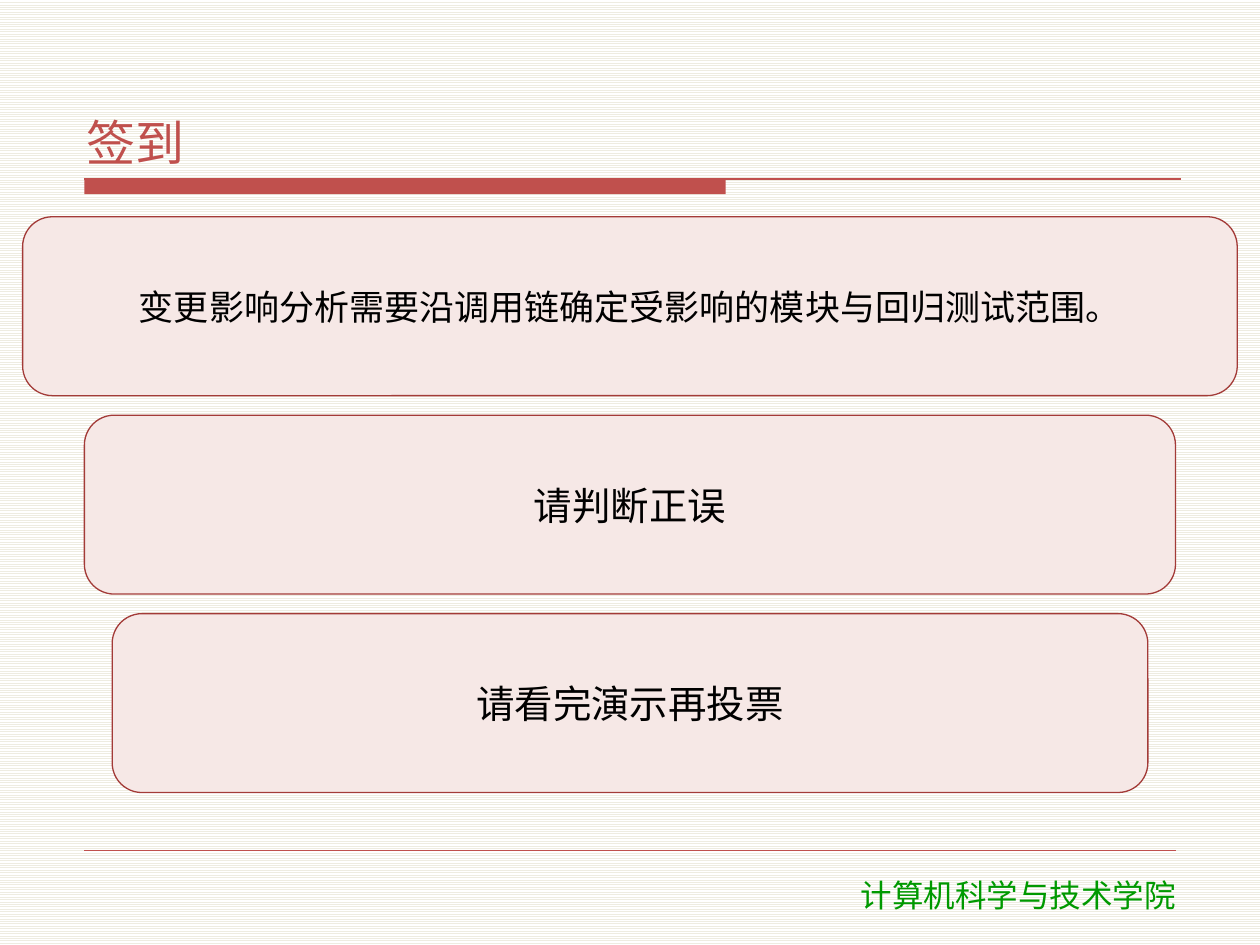
import pptx
import pptx.util
import pptx.dml.color
import pptx.enum.dml
import pptx.enum.shapes
import pptx.enum.text
import pptx.oxml.ns
from lxml import etree

Inches, Pt = pptx.util.Inches, pptx.util.Pt
RGB = pptx.dml.color.RGBColor.from_string
Align = pptx.enum.text.PP_ALIGN
Anchor = pptx.enum.text.MSO_ANCHOR
qn = pptx.oxml.ns.qn

COLORS = {
    "red": "C0504D", "edge": "A33B38", "card": "F6E8E6",
    "ink": "000000", "green": "009900", "stripe": "EEECE1", "paper": "FFFFFF",
}
CJK = "Noto Sans CJK SC"


def write(shape, text, size, color, align, anchor, pad, font=CJK, after=2):
    frame = shape.text_frame
    frame.word_wrap = True
    frame.vertical_anchor = anchor
    frame.margin_left = frame.margin_right = Inches(pad[0])
    frame.margin_top = frame.margin_bottom = Inches(pad[1])
    para = frame.paragraphs[0]
    para.text = text
    para.alignment = align
    para.space_after = Pt(after)
    para.font.size = Pt(size)
    para.font.name = font
    para.font.color.rgb = RGB(COLORS[color])
    # East Asian typeface
    props = para._p.pPr.find(qn("a:defRPr"))
    etree.SubElement(props, qn("a:ea")).set("typeface", font)


def rule(slide, left, top, width, weight):
    line = slide.shapes.add_connector(
        pptx.enum.shapes.MSO_CONNECTOR.STRAIGHT,
        Inches(left), Inches(top), Inches(left + width), Inches(top))
    line.line.color.rgb = RGB(COLORS["red"])
    line.line.width = Pt(weight)
    etree.SubElement(line._element.spPr, qn("a:effectLst"))


def block(slide, kind, left, top, width, height, fill):
    shape = slide.shapes.add_shape(
        kind, Inches(left), Inches(top), Inches(width), Inches(height))
    shape.shadow.inherit = False
    shape.fill.solid()
    shape.fill.fore_color.rgb = RGB(COLORS[fill])
    return shape


def label(slide, left, top, width, height):
    return slide.shapes.add_textbox(
        Inches(left), Inches(top), Inches(width), Inches(height))


def header(slide, left, top, width, height, text):
    # Thick bar and thin rule below the title
    base = top + height + 0.04
    bar = block(slide, pptx.enum.shapes.MSO_SHAPE.RECTANGLE,
                left + 0.04, base, 5.09, 0.12, "red")
    bar.line.fill.background()
    rule(slide, left + 0.04, base, 8.7, 0.75)
    write(label(slide, left, top, width, height), text, 28, "red",
          Align.LEFT, Anchor.BOTTOM, (0.06, 0.02))


def cards(slide, left, top, width, height, items):
    # Equal rows, each centred in the region
    gap = 0.155
    tall = (height - gap * (len(items) - 1)) / len(items)
    for row, (text, wide, size, pad) in enumerate(items):
        card = block(slide, pptx.enum.shapes.MSO_SHAPE.ROUNDED_RECTANGLE,
                     left + (width - wide) / 2, top + row * (tall + gap),
                     wide, tall, "card")
        card.line.color.rgb = RGB(COLORS["edge"])
        card.line.width = Pt(0.75)
        write(card, text, size, "ink", Align.CENTER, Anchor.MIDDLE, (pad, 0.02))


def footer(slide, left, top, width, text):
    rule(slide, left, top, width, 0.25)
    write(label(slide, left + 5.4, top + 0.15, 4.02, 0.4), text, 18, "green",
          Align.CENTER, Anchor.TOP, (0.1, 0.05), "DejaVu Sans", 0)


def main():
    deck = pptx.Presentation()
    deck.slide_width, deck.slide_height = Inches(10), Inches(7.5)
    slide = deck.slides.add_slide(deck.slide_layouts[6])

    # Striped paper
    paper = slide.background.fill
    paper.patterned()
    paper.pattern = pptx.enum.dml.MSO_PATTERN.LIGHT_HORIZONTAL
    paper.fore_color.rgb = RGB(COLORS["stripe"])
    paper.back_color.rgb = RGB(COLORS["paper"])

    footer(slide, 0.67, 6.75, 8.66, "计算机科学与技术学院")
    header(slide, 0.63, 0.33, 8.75, 1.05, "签到")
    cards(slide, 0.18, 1.72, 9.64, 4.57, [
        ("变更影响分析需要沿调用链确定受影响的模块与回归测试范围。", 9.64, 20, 0.02),
        ("请判断正误", 8.66, 22, 0.06),
        ("请看完演示再投票", 8.22, 22, 0.06),
    ])
    deck.save("out.pptx")


if __name__ == "__main__":
    main()
